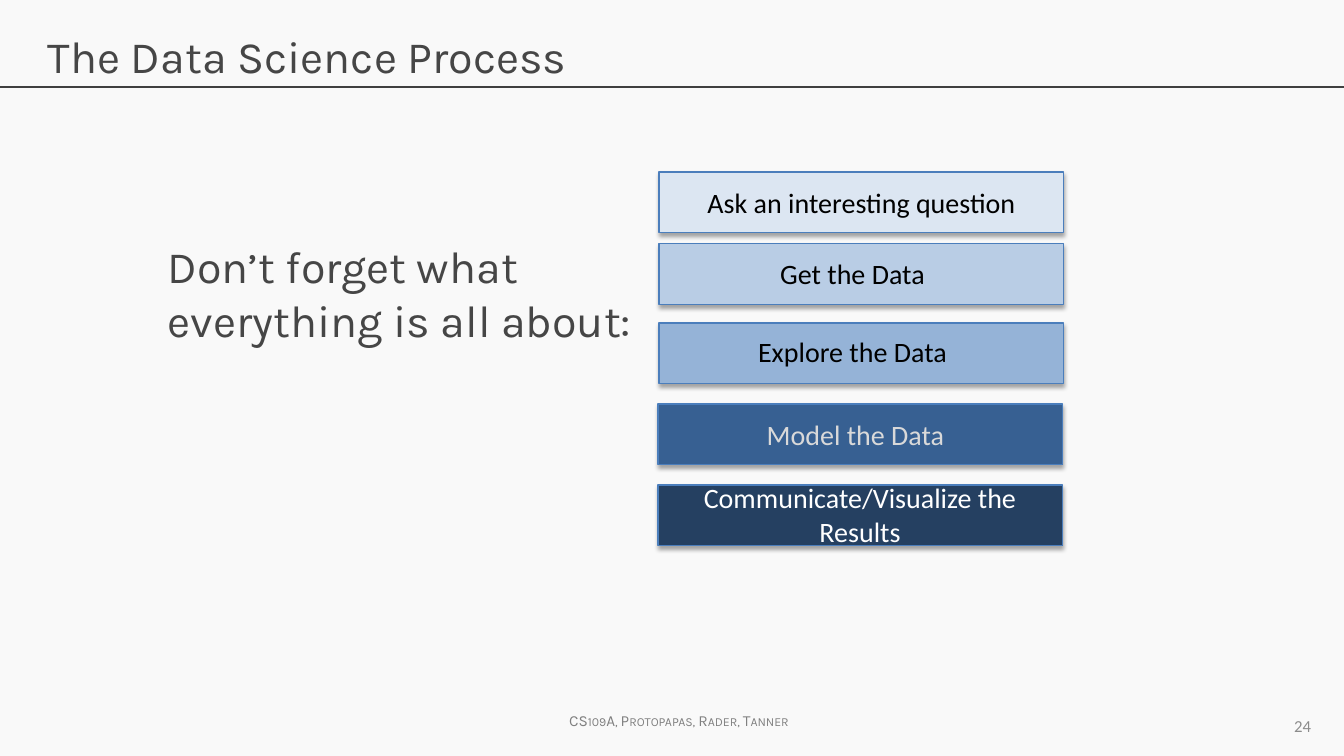
from lxml import etree
from pptx import Presentation
from pptx import util as u
from pptx.dml.color import RGBColor
from pptx.enum import shapes, text
from pptx.oxml import parse_xml
from pptx.oxml.ns import nsdecls, qn

PX = 12192000 / 1344
LEFT, MID, RIGHT = text.PP_ALIGN.LEFT, text.PP_ALIGN.CENTER, text.PP_ALIGN.RIGHT
TOP, CENTER = text.MSO_ANCHOR.TOP, text.MSO_ANCHOR.MIDDLE


def px(*vals):
    """Turn pixel lengths into EMU."""
    return [u.Emu(round(v * PX)) for v in vals]


def write(shape, lines, size, font, color, align=LEFT, anchor=TOP, wrap=True):
    """Fill a shape with one paragraph, its lines split by soft breaks."""
    frame = shape.text_frame
    frame.word_wrap = wrap
    frame.vertical_anchor = anchor
    para = frame.paragraphs[0]
    para.alignment = align
    for i, line in enumerate(lines):
        if i:
            para.add_line_break()
        run = para.add_run()
        run.text = line
        run.font.size = u.Pt(size)
        run.font.name = font
        run.font.color.rgb = RGBColor.from_string(color)
    return run


deck = Presentation()
deck.slide_width, deck.slide_height = px(1344, 756)
slide = deck.slides.add_slide(deck.slide_layouts[6])
slide.background.fill.solid()
slide.background.fill.fore_color.rgb = RGBColor.from_string("F9F9F9")
items = slide.shapes

# Header rule
rule = items.add_connector(shapes.MSO_CONNECTOR.STRAIGHT, *px(0, 87, 1344, 87))
rule.line.color.rgb = RGBColor.from_string("404040")
rule.line.width = u.Pt(0.75)
etree.SubElement(rule._element.spPr, qn("a:effectLst"))

# Footer, title, message and page number
foot = items.add_textbox(*px(553, 706, 252, 29))
names = write(foot, ["CS109A, Protopapas, Rader, Tanner"], 11, "Karla", "808080", MID, wrap=False)
names.font._element.set("cap", "small")

title = items.add_textbox(*px(38, 24, 1267, 85))
write(title, ["The Data Science Process"], 32, "Karla", "464646")

body = items.add_textbox(*px(158, 234, 1072, 462))
write(body, ["Don’t forget what", "everything is all about:"], 32, "Karla", "464646")

page = items.add_textbox(*px(1008, 706, 313, 40))
write(page, ["24"], 12, "Calibri", "8C8C8C", RIGHT, CENTER)

# Process steps: bar left and top, fill, label, text colour, label box (None: inside the bar)
steps = [
    (659, 172, "DCE6F2", "Ask an interesting question", "000000", None),
    (659, 244, "B9CDE5", "Get the Data", "000000", (762, 252, 181, 44)),
    (659, 323, "95B3D7", "Explore the Data", "000000", (737, 330, 231, 44)),
    (658, 404, "376092", "Model the Data", "D9D9D9", (746, 413, 219, 44)),
    (658, 485, "254061", "Communicate/Visualize the Results", "FFFFFF", (663, 476, 394, 78)),
]
for left, top, fill, label, color, box in steps:
    bar = items.add_shape(shapes.MSO_SHAPE.RECTANGLE, *px(left, top, 405, 61))
    bar.fill.solid()
    bar.fill.fore_color.rgb = RGBColor.from_string(fill)
    bar.line.color.rgb = RGBColor.from_string("4B7EBC")
    bar.line.width = u.Pt(0.75)
    bar.shadow.inherit = False
    bar._element.spPr.find(qn("a:effectLst")).append(parse_xml(
        f'<a:outerShdw {nsdecls("a")} blurRad="40000" dist="23000" dir="5400000" rotWithShape="0">'
        '<a:srgbClr val="000000"><a:alpha val="35000"/></a:srgbClr></a:outerShdw>'))
    if box:
        write(items.add_textbox(*px(*box)), [label], 20, "Calibri", color, MID)
    else:
        write(bar, [label], 20, "Calibri", color, MID, CENTER)

deck.save("out.pptx")
